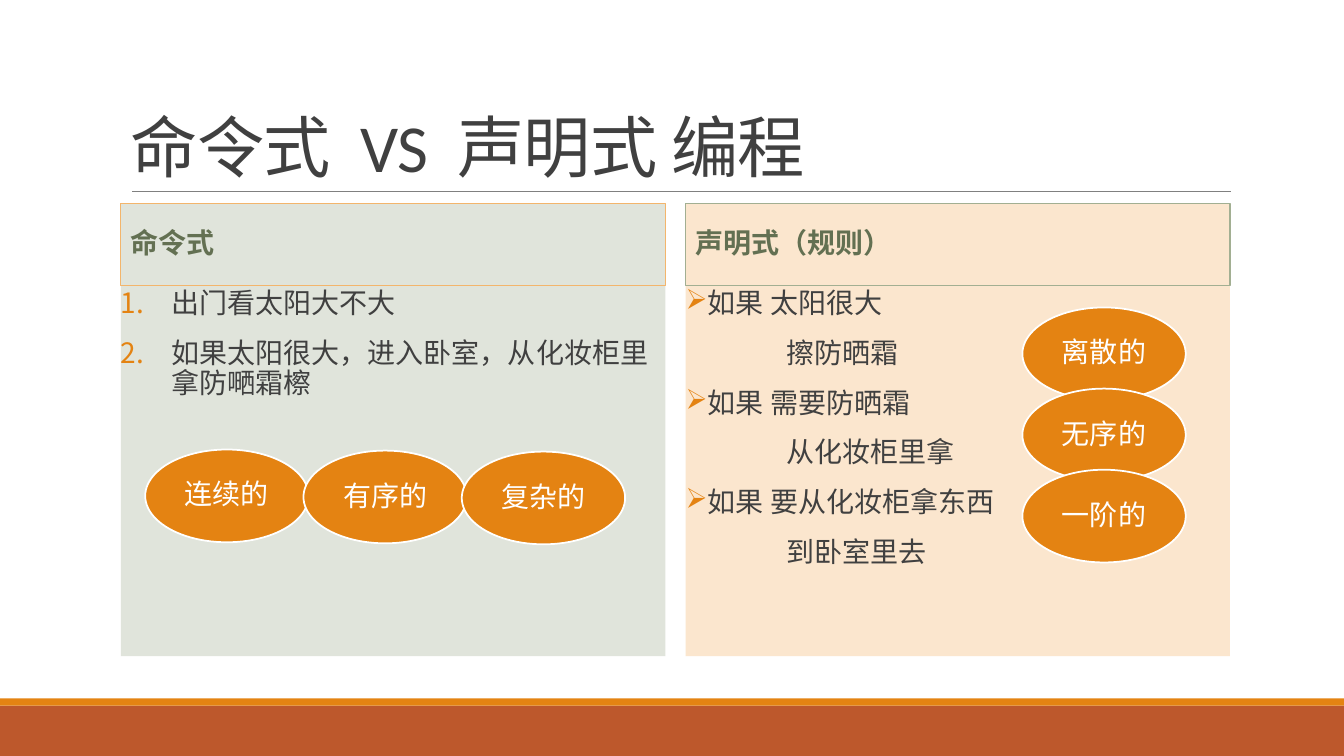
from dataclasses import dataclass
from typing import Optional

from lxml import etree
from pptx import Presentation
from pptx.dml.color import RGBColor
from pptx.enum import shapes, text
from pptx.oxml import ns
from pptx.util import Inches, Pt

COLORS = {
    "white": "FFFFFF", "ink": "404040", "rule": "808080",
    "orange": "E48312", "rust": "BD582C", "olive": "637052",
    "sage": "E0E4DB", "peach": "FBE6CE",
    "peach_edge": "F3B56C", "sage_edge": "A2AF92",
}
FONT = "Calibri"
NUMBER = ("buAutoNum", "type", "arabicPeriod")
ARROW = ("buChar", "char", "➢")


@dataclass
class Line:
    words: str
    margin: float
    indent: float = 0
    bullet: Optional[tuple[str, str, str]] = None


@dataclass
class Panel:
    left: float
    fill: str
    edge: str
    heading: str
    lines: list[Line]


@dataclass
class Trait:
    words: str
    left: float
    top: float


def step(words: str) -> Line:
    return Line(words, 0.5, -0.5, NUMBER)


def condition(words: str) -> Line:
    return Line(words, 0.1, -0.1, ARROW)


def action(words: str) -> Line:
    return Line(words, 1)


PANELS = [
    Panel(1.2, "sage", "peach_edge", "命令式", [
        step("出门看太阳大不大"),
        step("如果太阳很大，进入卧室，从化妆柜里拿防嗮霜檫"),
    ]),
    Panel(6.8, "peach", "sage_edge", "声明式（规则）", [
        condition("如果 太阳很大"), action("擦防晒霜"),
        condition("如果 需要防晒霜"), action("从化妆柜里拿"),
        condition("如果 要从化妆柜拿东西"), action("到卧室里去"),
    ]),
]
TRAITS = [
    Trait(words, 1.44 + 1.57 * i, 4.46 + 0.01 * i)
    for i, words in enumerate(["连续的", "有序的", "复杂的"])
] + [
    Trait(words, 10.14, 3.05 + 0.805 * i)
    for i, words in enumerate(["离散的", "无序的", "一阶的"])
]


def rgb(name: str) -> RGBColor:
    return RGBColor.from_string(COLORS[name])


def add_box(s, left: float, top: float, width: float, height: float, fill: str,
            edge: Optional[str] = None, weight: float = 0.75,
            kind=shapes.MSO_SHAPE.RECTANGLE):
    sp = s.shapes.add_shape(kind, Inches(left), Inches(top), Inches(width), Inches(height))
    sp.shadow.inherit = False
    sp.fill.solid()
    sp.fill.fore_color.rgb = rgb(fill)
    if edge:
        sp.line.color.rgb = rgb(edge)
        sp.line.width = Pt(weight)
    else:
        sp.line.fill.background()
    return sp


def set_frame(sp, anchor, side: float = 0.1):
    tf = sp.text_frame
    tf.word_wrap = True
    tf.vertical_anchor = anchor
    tf.margin_left = tf.margin_right = Inches(side)
    tf.margin_top = tf.margin_bottom = Inches(0.05)
    return tf


def add_text(p, words: str, *, size: float = 20, color: str = "ink", bold: bool = False,
             align=text.PP_ALIGN.LEFT, leading: float = 0.9, before: float = 12,
             after: float = 2, tracking: float = 0) -> None:
    p.alignment = align
    p.line_spacing = leading
    p.space_before = Pt(before)
    p.space_after = Pt(after)
    r = p.add_run()
    r.text = words
    r.font.name = FONT
    r.font.size = Pt(size)
    r.font.bold = bold
    r.font.color.rgb = rgb(color)
    if tracking:
        r.font._element.set("spc", str(round(tracking * 100)))


def set_bullet(p, line: Line) -> None:
    pPr = p._p.get_or_add_pPr()
    pPr.set("marL", str(Inches(line.margin)))
    pPr.set("indent", str(Inches(line.indent)))
    if line.bullet:
        tag, key, value = line.bullet
        clr = etree.SubElement(pPr, ns.qn("a:buClr"))
        etree.SubElement(clr, ns.qn("a:srgbClr")).set("val", COLORS["orange"])
        etree.SubElement(pPr, ns.qn("a:" + tag)).set(key, value)


def add_title(s) -> None:
    sp = s.shapes.add_textbox(Inches(1.2), Inches(0.31), Inches(11), Inches(1.59))
    p = set_frame(sp, text.MSO_ANCHOR.BOTTOM).paragraphs[0]
    for words, tracking in [("命令式", -0.5), (" ", 10), ("VS", -0.5),
                            (" ", 10), ("声明式 编程", -0.5)]:
        add_text(p, words, size=48, leading=0.85, before=0, after=0, tracking=tracking)


def add_rule(s) -> None:
    sp = s.shapes.add_connector(shapes.MSO_CONNECTOR.STRAIGHT,
                                Inches(1.31), Inches(1.9), Inches(12.21), Inches(1.9))
    sp.line.color.rgb = rgb("rule")
    sp.line.width = Pt(0.5)
    etree.SubElement(sp._element.spPr, ns.qn("a:effectLst"))


def add_panel(s, panel: Panel) -> None:
    body = add_box(s, panel.left, 2.82, 5.4, 3.69, panel.fill)
    tf = set_frame(body, text.MSO_ANCHOR.TOP, side=0)
    for i, line in enumerate(panel.lines):
        p = tf.add_paragraph() if i else tf.paragraphs[0]
        add_text(p, line.words)
        set_bullet(p, line)
    head = add_box(s, panel.left, 2.02, 5.4, 0.81, panel.fill, panel.edge)
    p = set_frame(head, text.MSO_ANCHOR.MIDDLE).paragraphs[0]
    add_text(p, panel.heading, color="olive", bold=True)


def add_trait(s, trait: Trait) -> None:
    sp = add_box(s, trait.left, trait.top, 1.62, 0.92, "orange", "white", 1.25,
                 shapes.MSO_SHAPE.OVAL)
    p = set_frame(sp, text.MSO_ANCHOR.MIDDLE, side=0.08).paragraphs[0]
    add_text(p, trait.words, color="white", align=text.PP_ALIGN.CENTER, before=0, after=0)


def main() -> None:
    prs = Presentation()
    prs.slide_width = Inches(13.33)
    prs.slide_height = Inches(7.5)
    s = prs.slides.add_slide(prs.slide_layouts[6])
    add_box(s, 0, 7, 13.33, 0.5, "rust")
    add_box(s, 0, 6.93, 13.33, 0.07, "orange")
    add_rule(s)
    add_title(s)
    for panel in PANELS:
        add_panel(s, panel)
    for trait in TRAITS:
        add_trait(s, trait)
    prs.save("out.pptx")


if __name__ == "__main__":
    main()
